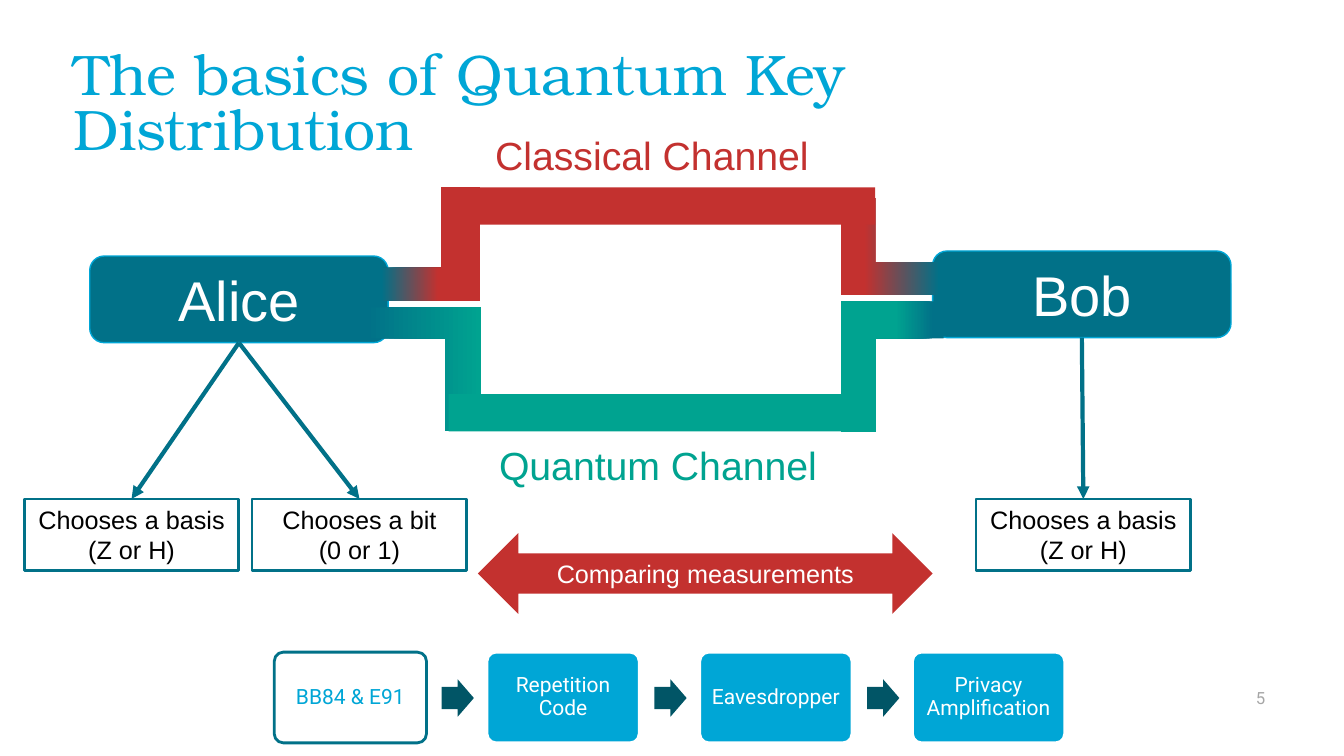
from lxml.etree import SubElement
from pptx import Presentation
from pptx.dml.color import RGBColor
from pptx.enum.shapes import MSO_CONNECTOR, MSO_SHAPE
from pptx.enum.text import MSO_ANCHOR, MSO_AUTO_SIZE, PP_ALIGN
from pptx.oxml.ns import qn
from pptx.util import Inches, Pt

COLORS = {
    "white": "FFFFFF",
    "black": "000000",
    "gray": "A6A6A6",
    "cyan": "00A6D6",
    "teal": "017188",
    "dark_teal": "015566",
    "green": "00A390",
    "red": "C3312F",
}
BOTTOM, TOP = 2, 0


def rgb(name):
    return RGBColor.from_string(COLORS[name])


def write_text(shape, lines, size, color, font="Arial", inset=0.05,
               align=PP_ALIGN.CENTER, anchor=MSO_ANCHOR.MIDDLE, spacing=None, wrap=True):
    """Fill the shape's text frame with one paragraph per line."""
    frame = shape.text_frame
    frame.word_wrap = wrap
    frame.auto_size = MSO_AUTO_SIZE.NONE
    frame.vertical_anchor = anchor
    frame.margin_left = frame.margin_right = Inches(inset)
    frame.margin_top = frame.margin_bottom = Inches(inset)
    for index, line in enumerate(lines):
        paragraph = frame.add_paragraph() if index else frame.paragraphs[0]
        paragraph.alignment = align
        paragraph.space_before = Pt(0)
        if spacing:
            paragraph.line_spacing = spacing
        run = paragraph.add_run()
        run.text = line
        run.font.name = font
        run.font.size = Pt(size)
        run.font.color.rgb = rgb(color)


def add_block(slide, kind, box, fill=None, line=None, line_width=1, adjustments=(), rotation=0):
    """Add a flat preset shape; without a line colour it has no outline."""
    shape = slide.shapes.add_shape(kind, *map(Inches, box))
    shape.shadow.inherit = False
    shape.rotation = rotation
    for index, value in enumerate(adjustments):
        shape.adjustments[index] = value
    if fill:
        shape.fill.solid()
        shape.fill.fore_color.rgb = rgb(fill)
    if line:
        shape.line.color.rgb = rgb(line)
        shape.line.width = Pt(line_width)
    else:
        shape.line.fill.background()
    return shape


def add_channel_corner(slide, box, rotation, arms, stops, angle):
    """Add an L-shaped pipe with a two-stop gradient; angle is clockwise."""
    corner = add_block(slide, MSO_SHAPE.RECTANGLE, box, rotation=rotation)
    # The L-shape preset has no MSO_SHAPE member, so its geometry is set in XML.
    geometry = corner._element.spPr.find(qn("a:prstGeom"))
    geometry.set("prst", "corner")
    for index, arm in enumerate(arms, start=1):
        SubElement(geometry.find(qn("a:avLst")), qn("a:gd"),
                   name=f"adj{index}", fmla=f"val {round(arm * 100000)}")
    corner.fill.gradient()
    corner.fill.gradient_angle = (360 - angle) % 360
    for stop, (position, color) in zip(corner.fill.gradient_stops, stops):
        stop.position = position
        stop.color.rgb = rgb(color)


def add_label(slide, box, text, size, color, **options):
    label = slide.shapes.add_textbox(*map(Inches, box))
    write_text(label, [text], size, color, **options)


def add_party(slide, left, top, name):
    party = add_block(slide, MSO_SHAPE.ROUNDED_RECTANGLE, (left, top, 2.96, 0.86), "teal", "cyan")
    write_text(party, [name], 40, "white")
    return party


def add_choice(slide, party, left, lines):
    """Add a choice box and the arrow that leads to it from its party."""
    choice = add_block(slide, MSO_SHAPE.RECTANGLE, (left, 4.95, 2.13, 0.71), "white", "teal", 2)
    write_text(choice, lines, 18, "black", anchor=MSO_ANCHOR.TOP)
    arrow = slide.shapes.add_connector(MSO_CONNECTOR.STRAIGHT, 0, 0, 0, 0)
    arrow.begin_connect(party, BOTTOM)
    arrow.end_connect(choice, TOP)
    arrow.line.color.rgb = rgb("teal")
    arrow.line.width = Pt(3)
    SubElement(arrow.line._get_or_add_ln(), qn("a:tailEnd"), type="triangle")
    SubElement(arrow._element.spPr, qn("a:effectLst"))


def add_steps(slide, steps, current):
    """Add the row of steps, with the current one shown in outline."""
    for index, step in enumerate(steps):
        left = 2.72 + 2.11 * index
        fill, line, color = ("white", "teal", "cyan") if step == current else ("cyan", "white", "white")
        box = add_block(slide, MSO_SHAPE.ROUNDED_RECTANGLE, (left, 6.47, 1.51, 0.9),
                        fill, line, 2, [0.1])
        write_text(box, [step], 15, color, "Roboto", inset=0.06, spacing=0.9)
        if index < len(steps) - 1:
            add_block(slide, MSO_SHAPE.RIGHT_ARROW, (left + 1.66, 6.74, 0.32, 0.37),
                      "dark_teal", adjustments=[0.6, 0.5])


def add_channels(slide):
    add_channel_corner(slide, (3.45, 3.05, 1.32, 1.23), 180, (0.25, 0.29),
                       [(0.14, "teal"), (1, "green")], 180)
    add_channel_corner(slide, (8.2, 3.13, 1.3, 1.02), 90, (0.34, 0.36),
                       [(0.1, "teal"), (0.47, "green")], 90)
    add_block(slide, MSO_SHAPE.RECTANGLE, (4.45, 3.91, 4.17, 0.37), "green")
    add_label(slide, (4.37, 4.33, 4.31, 0.57), "Quantum Channel", 28, "green", anchor=MSO_ANCHOR.TOP)

    add_channel_corner(slide, (3.69, 1.91, 1.13, 1.02), 270, (0.38, 0.32),
                       [(0.04, "teal"), (0.59, "red")], 90)
    add_channel_corner(slide, (8.34, 1.96, 1.68, 0.97), 0, (0.34, 0.35),
                       [(0.14, "red"), (0.58, "teal")], 0)
    add_block(slide, MSO_SHAPE.RECTANGLE, (4.45, 1.86, 4.23, 0.37), "red")
    add_label(slide, (4.31, 1.25, 4.31, 0.57), "Classical Channel", 28, "red", anchor=MSO_ANCHOR.TOP)


def set_title(slide, text):
    title = slide.shapes.title
    title.left, title.top, title.width, title.height = map(Inches, (0.73, 0.51, 10.89, 0.75))
    write_text(title, [text], 40.8, "cyan", "TeX Gyre Bonum", inset=0,
               align=PP_ALIGN.LEFT, anchor=MSO_ANCHOR.TOP, spacing=0.8)


def main():
    presentation = Presentation()
    presentation.slide_width = Inches(13.33)
    presentation.slide_height = Inches(7.5)
    slide = presentation.slides.add_slide(presentation.slide_layouts[5])

    set_title(slide, "The basics of Quantum Key Distribution")
    add_label(slide, (12.35, 6.83, 0.2, 0.19), "5", 12, "gray", font="Roboto",
              inset=0, align=PP_ALIGN.RIGHT, wrap=False)
    add_steps(slide, ["BB84 & E91", "Repetition Code", "Eavesdropper", "Privacy Amplification"],
              current="BB84 & E91")

    alice = add_party(slide, 0.89, 2.54, "Alice")
    bob = add_party(slide, 9.25, 2.49, "Bob")
    add_channels(slide)
    add_choice(slide, alice, 0.24, ["Chooses a basis (Z or H)"])
    add_choice(slide, alice, 2.5, ["Chooses a bit", "(0 or 1)"])
    add_choice(slide, bob, 9.68, ["Chooses a basis", "(Z or H)"])

    comparison = add_block(slide, MSO_SHAPE.LEFT_RIGHT_ARROW, (4.74, 5.29, 4.51, 0.8), "red")
    write_text(comparison, ["Comparing measurements"], 18, "white")

    presentation.save("out.pptx")


if __name__ == "__main__":
    main()
